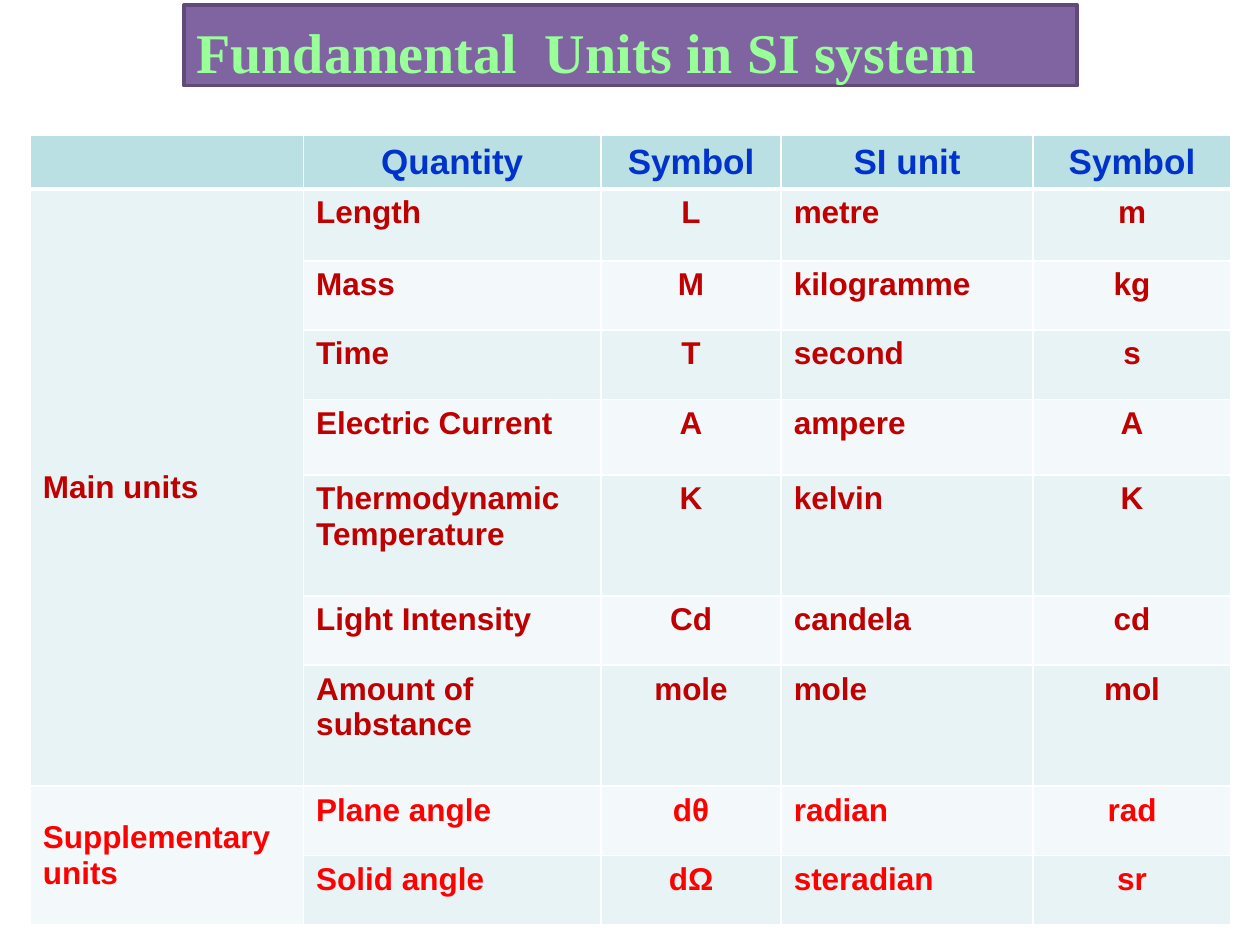
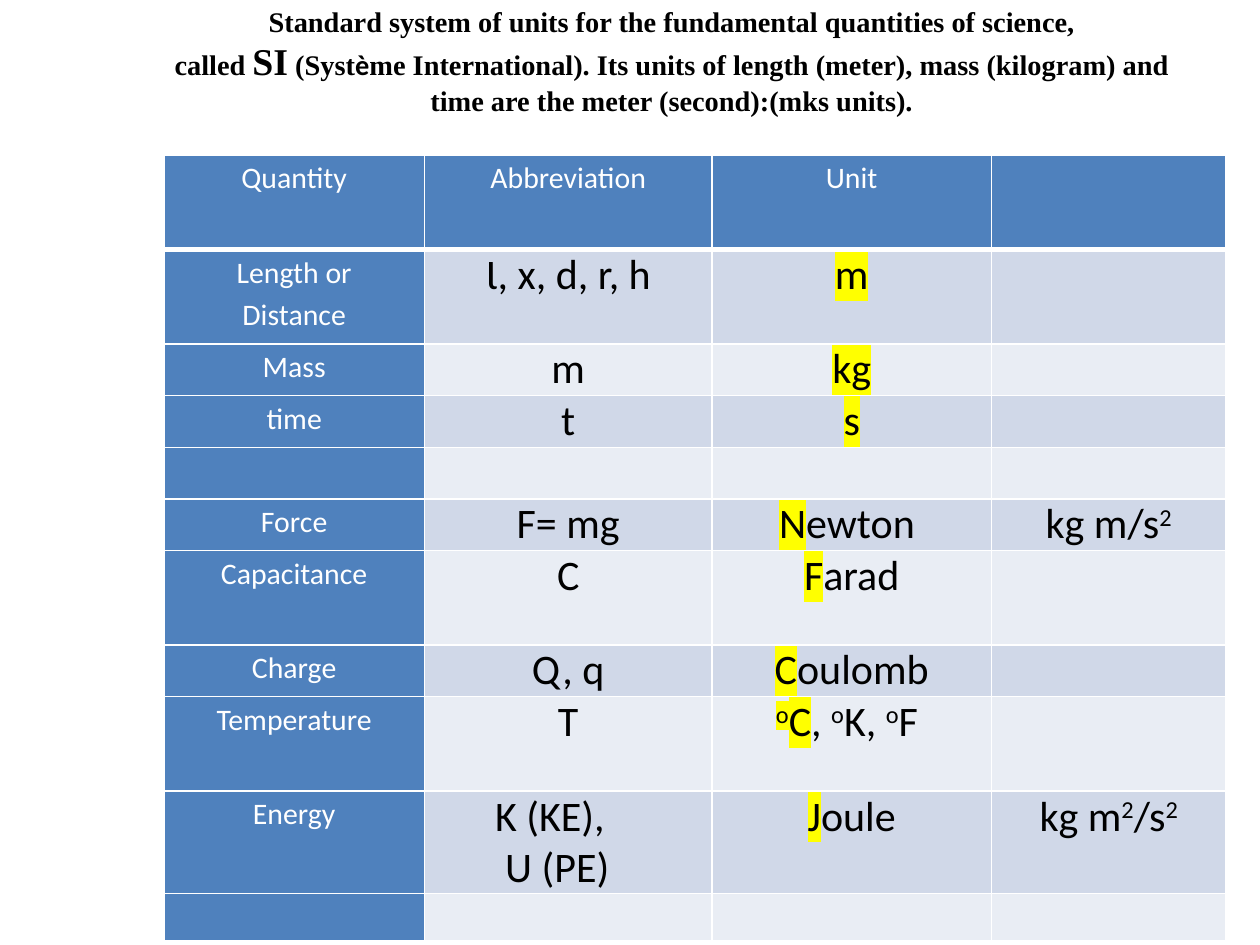
from dataclasses import dataclass

from lxml import etree
from pptx import Presentation
from pptx.dml.color import RGBColor
from pptx.enum import text as t
from pptx.oxml import ns
from pptx.util import Inches, Pt

COLORS = {
    "white": "FFFFFF", "black": "000000", "yellow": "FFFF00",
    "purple": "8064A2", "purple_edge": "5F4A78", "mint": "99FF99",
    "teal": "BBE0E3", "teal_band": "E7F3F4", "teal_pale": "F3F9FA",
    "heading": "0033CC", "main": "C00000", "extra": "FF0000",
    "blue": "4F81BD", "blue_band": "D0D8E8", "blue_pale": "E9EDF4",
}
SERIF = "Times New Roman"
LEFT, CENTER = t.PP_ALIGN.LEFT, t.PP_ALIGN.CENTER
TOP, MIDDLE = t.MSO_ANCHOR.TOP, t.MSO_ANCHOR.MIDDLE


@dataclass(frozen=True)
class Span:
    text: str
    marked: bool = False
    raised: bool = False


@dataclass(frozen=True)
class Grid:
    left: float
    top: float
    widths: tuple
    heights: tuple
    head: str
    bands: tuple
    inset_x: float
    inset_y: float


def rgb(name: str) -> RGBColor:
    return RGBColor.from_string(COLORS[name])


def add_solid(parent, tag: str, color: str):
    element = etree.SubElement(parent, ns.qn(tag))
    etree.SubElement(element, ns.qn("a:srgbClr"), val=COLORS[color])
    return element


def write(para, text: str, *, font: str, size: float, color: str,
          bold: bool = False, marked: bool = False, raised: bool = False) -> None:
    span = para.add_run()
    span.text = text
    span.font.name = font
    span.font.size = Pt(size)
    span.font.bold = bold
    span.font.color.rgb = rgb(color)
    properties = span.font._element
    if raised:
        properties.set("baseline", "30000")
    if marked:
        highlight = add_solid(properties, "a:highlight", "yellow")
        properties.find(ns.qn("a:solidFill")).addnext(highlight)


def fill_cell(cell, content, *, align=CENTER, spacing=None, indents=(), **style) -> None:
    """Write a string, or a list of paragraphs that are strings or tuples of spans."""
    frame = cell.text_frame
    for index, line in enumerate(content if isinstance(content, list) else [content]):
        para = frame.paragraphs[0] if index == 0 else frame.add_paragraph()
        para.alignment = align
        if spacing:
            para.line_spacing = spacing
        if indents:
            properties = para._p.get_or_add_pPr()
            properties.set("marL", "0")
            properties.set("indent", str(Inches(indents[index])))
        for span in (Span(line),) if isinstance(line, str) else line:
            if span.text:
                write(para, span.text, marked=span.marked, raised=span.raised, **style)


def add_borders(cell, top: float, bottom: float) -> None:
    properties = cell._tc.get_or_add_tcPr()
    for side, width in (("L", 1), ("R", 1), ("T", top), ("B", bottom)):
        line = etree.SubElement(properties, ns.qn(f"a:ln{side}"), w=str(Pt(width)))
        add_solid(line, "a:solidFill", "white")


def add_grid(page, grid: Grid):
    """Add an empty table with a coloured head, banded rows and white rules."""
    frame = page.shapes.add_table(
        len(grid.heights), len(grid.widths), Inches(grid.left), Inches(grid.top),
        Inches(sum(grid.widths)), Inches(sum(grid.heights)))
    table = frame.table
    table.first_row = table.horz_banding = False
    for column, width in zip(table.columns, grid.widths):
        column.width = Inches(width)
    for index, (row, height) in enumerate(zip(table.rows, grid.heights)):
        row.height = Inches(height)
        color = grid.bands[(index - 1) % 2] if index else grid.head
        for cell in row.cells:
            add_borders(cell, 3 if index == 1 else 1, 3 if index == 0 else 1)
            cell.fill.solid()
            cell.fill.fore_color.rgb = rgb(color)
            cell.margin_left = cell.margin_right = Inches(grid.inset_x)
            cell.margin_top = cell.margin_bottom = Inches(grid.inset_y)
    return table


def place_title(page, left: float, top: float, width: float, height: float,
                *, align, anchor, inset_top: float):
    title = page.shapes.title
    title.left, title.top = Inches(left), Inches(top)
    title.width, title.height = Inches(width), Inches(height)
    frame = title.text_frame
    frame.word_wrap = True
    frame.auto_size = t.MSO_AUTO_SIZE.NONE
    frame.vertical_anchor = anchor
    frame.margin_left = frame.margin_right = Inches(0.1)
    frame.margin_top, frame.margin_bottom = Inches(inset_top), 0
    frame.paragraphs[0].alignment = align
    return title


FUNDAMENTAL = Grid(
    0.24, 1.07, (2.17, 2.36, 1.43, 2, 1.57),
    (0.43, 0.57, 0.55, 0.55, 0.6, 0.96, 0.55, 0.96, 0.55, 0.55),
    "teal", ("teal_band", "teal_pale"), 0.1, 0.05)
FUNDAMENTAL_HEAD = ("", "Quantity", "Symbol", "SI unit", "Symbol")
UNIT_GROUPS = (
    ("Main units", "main", (
        ("Length", "L", "metre", "m"),
        ("Mass", "M", "kilogramme", "kg"),
        ("Time", "T", "second", "s"),
        ("Electric Current", "A", "ampere", "A"),
        ("Thermodynamic Temperature", "K", "kelvin", "K"),
        ("Light Intensity", "Cd", "candela", "cd"),
        ("Amount of substance", "mole", "mole", "mol"))),
    ("Supplementary units", "extra", (
        ("Plane angle", "dθ", "radian", "rad"),
        ("Solid angle", "dΩ", "steradian", "sr"))),
)

STANDARD = Grid(
    1.3, 1.23, (2.07, 2.28, 2.22, 1.86),
    (0.75, 0.75, 0.41, 0.41, 0.41, 0.41, 0.75, 0.41, 0.75, 0.81, 0.37),
    "blue", ("blue_band", "blue_pale"), 0.06, 0)
SQUARED = Span("2", raised=True)


def initial(first: str, rest: str = "") -> list:
    """One paragraph whose first part is highlighted."""
    return [(Span(first, marked=True), Span(rest))]


DEGREE = Span("o", raised=True)
STANDARD_ROWS = (
    ("Quantity", "Abbreviation", "Unit", ""),
    (["Length or", "Distance"], "Ɩ, x, d, r, h", initial("m"), ""),
    ("Mass", "m", initial("kg"), ""),
    ("time", "t", initial("s"), ""),
    ("", "", "", ""),
    ("Force", "F= mg", initial("N", "ewton "), [(Span("kg m/s"), SQUARED)]),
    ("Capacitance", "C", initial("F", "arad"), ""),
    ("Charge", "Q, q", initial("C", "oulomb"), ""),
    ("Temperature", "T",
     [(Span("o", marked=True, raised=True), Span("C", marked=True), Span(", "),
       DEGREE, Span("K, "), DEGREE, Span("F "))], ""),
    ("Energy", ["K (KE),", "U (PE)"], initial("J", "oule"),
     [(Span("kg m"), SQUARED, Span("/s"), SQUARED)]),
    ("", "", "", ""),
)


def build_fundamental_units(page) -> None:
    title = place_title(page, 1.46, 0.04, 7.09, 0.64, align=LEFT, anchor=TOP, inset_top=0.1)
    title.fill.solid()
    title.fill.fore_color.rgb = rgb("purple")
    title.line.color.rgb = rgb("purple_edge")
    title.line.width = Pt(2)
    write(title.text_frame.paragraphs[0], "Fundamental  Units in SI system",
          font=SERIF, size=32, color="mint", bold=True)

    table = add_grid(page, FUNDAMENTAL)
    for column, label in enumerate(FUNDAMENTAL_HEAD):
        cell = table.cell(0, column)
        cell.vertical_anchor = MIDDLE
        fill_cell(cell, label, font="Arial", size=20, color="heading", bold=True)
    first = 1
    for name, color, units in UNIT_GROUPS:
        style = dict(font="Arial", size=18, color=color, bold=True)
        group = table.cell(first, 0)
        group.merge(table.cell(first + len(units) - 1, 0))
        group.vertical_anchor = MIDDLE
        fill_cell(group, name, align=LEFT, **style)
        for row, unit in enumerate(units, first):
            for column, value in enumerate(unit, 1):
                fill_cell(table.cell(row, column), value,
                          align=LEFT if column % 2 else CENTER, **style)
        first += len(units)


def build_standard_system(page) -> None:
    title = place_title(page, 1.17, 0.03, 8.32, 0.9, align=CENTER, anchor=MIDDLE, inset_top=0)
    para = title.text_frame.paragraphs[0]
    style = dict(color="black", bold=True)
    write(para, "Standard system of units for the fundamental quantities of science,",
          font=SERIF, size=16.2, **style)
    para.add_line_break()
    for text, font, size in (
            ("called ", SERIF, 16.2), ("SI", SERIF, 21.6), (" (Syst", SERIF, 16.2),
            ("è", "Calibri", 16.2),
            ("me International). Its units of length (meter), mass (kilogram) and "
             "time are the meter (second):(mks units).", SERIF, 16.2)):
        write(para, text, font=font, size=size, **style)

    table = add_grid(page, STANDARD)
    for row, values in enumerate(STANDARD_ROWS):
        for column, value in enumerate(values):
            cell = table.cell(row, column)
            if row == 0 or column == 0:
                cell.fill.fore_color.rgb = rgb("blue")
                fill_cell(cell, value, spacing=1.15, font="Calibri", size=17, color="white")
            else:
                two_lines = isinstance(value, list) and len(value) == 2
                fill_cell(cell, value, align=LEFT if two_lines else CENTER,
                          indents=(0.5, 0.58) if two_lines else (),
                          font="Calibri", size=24, color="black")


def main() -> None:
    deck = Presentation()
    deck.slide_width, deck.slide_height = Inches(10), Inches(7.5)
    for build in (build_fundamental_units, build_standard_system):
        build(deck.slides.add_slide(deck.slide_layouts.get_by_name("Title Only")))
    deck.save("out.pptx")


if __name__ == "__main__":
    main()
